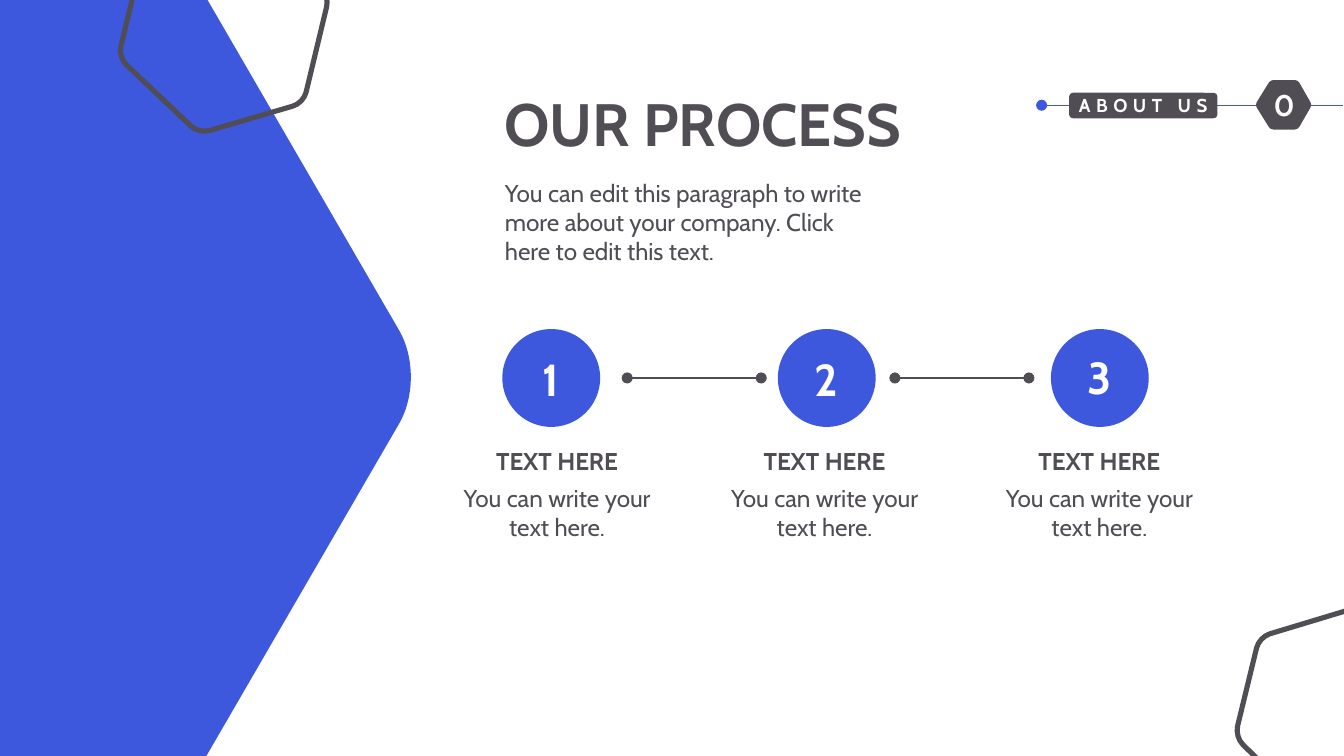
from pptx import Presentation
from pptx.dml.color import RGBColor
from pptx.enum.shapes import MSO_CONNECTOR, MSO_SHAPE
from pptx.enum.text import MSO_AUTO_SIZE, PP_ALIGN
from pptx.oxml.ns import qn
from pptx.util import Pt
from lxml.etree import SubElement

BLUE = RGBColor(0x3D, 0x58, 0xDD)
GRAY = RGBColor(0x50, 0x4D, 0x54)
WHITE = RGBColor(0xFF, 0xFF, 0xFF)
FONT = "Cabin"

CIRCLE_SIZE = 52.4
STEP_MIDDLE = 202.5
CAPTION_WIDTH = 104.4
HEADING_WIDTH = 67.7
NUMBER_WIDTH = 13.7

# Number, its top, circle centre, caption centre
STEPS = [
    ("1", 188.6, 295.3, 298.4),
    ("2", 188.6, 442.9, 441.7),
    ("3", 187.2, 589.2, 588.9),
]
LINK_STARTS = [336, 479.4]
LINK_LENGTH = 71.8

# Polygon corners: x, y and the length cut off each side for rounding
PANEL = [(-8, -6.5, 0), (107.4, -6.5, 0), (228.3, 202, 29),
         (106.5, 412, 0), (-8, 412, 0)]
BADGE = [(680.6, 42.9, 1.6), (695.3, 42.9, 1.6), (702.9, 56.2, 1.6),
         (695.3, 69.4, 1.6), (680.6, 69.4, 1.6), (672.4, 56.2, 1.6)]
TOP_OUTLINE = [(72.7, -8, 0), (170.6, -8, 0), (176.4, -2.2, 6),
               (162.6, 55.2, 6), (106.6, 71.6, 6), (63.4, 30.6, 6)]
BOTTOM_OUTLINE = [(722.2, 326.9, 0), (722.2, 406.8, 0), (673.9, 406.8, 0),
                  (661.6, 394.8, 6), (674.6, 341.3, 6)]


def toward(start, end, distance):
    dx, dy = end[0] - start[0], end[1] - start[1]
    share = distance / (dx * dx + dy * dy) ** 0.5
    return start[0] + dx * share, start[1] + dy * share


def outline_points(corners):
    """Return the points, and the indexes where a rounded corner begins."""
    points, curve_starts = [], []
    for index, (x, y, cut) in enumerate(corners):
        if not cut:
            points.append((x, y))
            continue
        before = corners[index - 1]
        after = corners[(index + 1) % len(corners)]
        curve_starts.append(len(points))
        points += [toward((x, y), neighbour, distance)
                   for neighbour, distance in ((before, cut), (before, cut * 0.42),
                                               (after, cut * 0.42), (after, cut))]
    return points, curve_starts


def style(shape, fill=None, outline=None):
    shape.shadow.inherit = False
    if fill is None:
        shape.fill.background()
    else:
        shape.fill.solid()
        shape.fill.fore_color.rgb = fill
    if outline is None:
        shape.line.fill.background()
    else:
        shape.line.color.rgb = outline
        shape.line.width = Pt(2.75)


def add_polygon(slide, corners, fill=None, outline=None):
    points, curve_starts = outline_points(corners)
    points = [(Pt(x), Pt(y)) for x, y in points]
    builder = slide.shapes.build_freeform(*points[0], scale=1.0)
    builder.add_line_segments(points[1:], close=True)
    shape = builder.convert_to_shape()
    style(shape, fill, outline)

    # Merge the three segments of each corner into one curve
    segments = list(next(shape._element.iter(qn("a:path"))))
    for start in curve_starts:
        first, second, third = segments[start + 1:start + 4]
        first.tag = qn("a:cubicBezTo")
        for segment in (second, third):
            first.append(segment[0])
            segment.getparent().remove(segment)


def add_filled(slide, preset, left, top, width, height, fill):
    shape = slide.shapes.add_shape(preset, Pt(left), Pt(top), Pt(width), Pt(height))
    style(shape, fill)


def add_line(slide, start, end, y, color, width, dots):
    line = slide.shapes.add_connector(MSO_CONNECTOR.STRAIGHT,
                                      Pt(start), Pt(y), Pt(end), Pt(y))
    line.line.color.rgb = color
    line.line.width = Pt(width)
    outline = line.line._get_or_add_ln()
    for dot in dots:
        SubElement(outline, qn(f"a:{dot}"), type="oval")
    SubElement(line._element.spPr, qn("a:effectLst"))


def add_text(slide, text, left, top, width, height, size, color=GRAY,
             bold=False, align=PP_ALIGN.CENTER, wrap=True, spacing=0):
    box = slide.shapes.add_textbox(Pt(left), Pt(top), Pt(width), Pt(height))
    frame = box.text_frame
    frame.margin_left = frame.margin_right = 0
    frame.margin_top = frame.margin_bottom = 0
    frame.word_wrap = wrap
    frame.auto_size = MSO_AUTO_SIZE.SHAPE_TO_FIT_TEXT
    paragraph = frame.paragraphs[0]
    paragraph.alignment = align
    run = paragraph.add_run()
    run.text = text
    if spacing:
        run._r.get_or_add_rPr().set("spc", str(spacing * 100))
    font = paragraph.font
    font.name, font.size, font.bold = FONT, Pt(size), bold
    font.color.rgb = color


def add_step(slide, number, number_top, center, caption_center):
    add_filled(slide, MSO_SHAPE.OVAL, center - CIRCLE_SIZE / 2,
               STEP_MIDDLE - CIRCLE_SIZE / 2, CIRCLE_SIZE, CIRCLE_SIZE, BLUE)
    add_text(slide, number, center - NUMBER_WIDTH / 2, number_top,
             NUMBER_WIDTH, 28.8, 24, WHITE, bold=True, wrap=False)
    add_text(slide, "TEXT HERE", caption_center - HEADING_WIDTH / 2, 239,
             HEADING_WIDTH, 15.8, 13, bold=True, wrap=False)
    add_text(slide, "You can write your text here.",
             caption_center - CAPTION_WIDTH / 2, 258.8, CAPTION_WIDTH, 31.7, 13)


def main():
    presentation = Presentation()
    presentation.slide_width, presentation.slide_height = Pt(720), Pt(405)
    slide = presentation.slides.add_slide(presentation.slide_layouts[6])

    # Section marker
    add_line(slide, 558, 719.3, 56.4, BLUE, 0.75, ["headEnd"])
    add_filled(slide, MSO_SHAPE.ROUNDED_RECTANGLE, 572.7, 49.7, 79.5, 13.7, GRAY)
    add_text(slide, "ABOUT US", 574.6, 50.4, 75.6, 12.2, 10, WHITE,
             bold=True, spacing=3)

    # Title and introduction
    add_text(slide, "OUR PROCESS", 270, 46.4, 216.7, 38.9, 32, bold=True,
             align=PP_ALIGN.LEFT, wrap=False)
    add_text(slide, "You can edit this paragraph to write more about your "
             "company. Click here to edit this text.",
             270.5, 95.4, 198, 47.5, 13, align=PP_ALIGN.LEFT)

    # Side panel, page badge and corner outlines
    add_polygon(slide, PANEL, fill=BLUE)
    add_polygon(slide, BADGE, fill=GRAY)
    add_text(slide, "05", 678.2, 46.4, 19.4, 19.4, 16, WHITE, bold=True)
    for corners in (TOP_OUTLINE, BOTTOM_OUTLINE):
        add_polygon(slide, corners, outline=GRAY)

    # Process steps and the links between them
    for step in STEPS:
        add_step(slide, *step)
    for start in LINK_STARTS:
        add_line(slide, start, start + LINK_LENGTH, STEP_MIDDLE, GRAY, 1,
                 ["headEnd", "tailEnd"])

    presentation.save("out.pptx")


if __name__ == "__main__":
    main()
